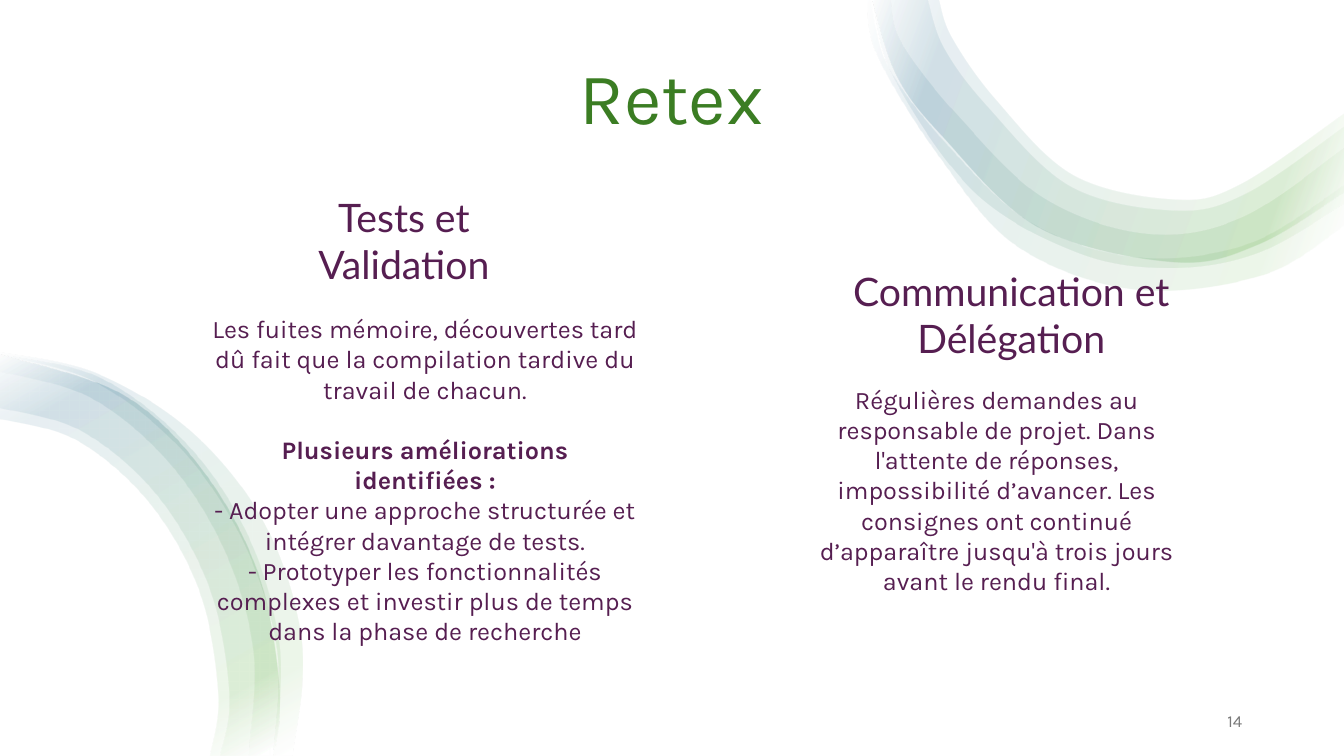
"""Build the Retex slide: a title, two lessons learned and two sets of flowing ribbons."""
from lxml import etree
from pptx import Presentation
from pptx.dml.color import RGBColor
from pptx.enum.text import MSO_ANCHOR, PP_ALIGN
from pptx.oxml import parse_xml
from pptx.oxml.ns import nsdecls, qn
from pptx.util import Inches, Pt

CENTER, RIGHT = PP_ALIGN.CENTER, PP_ALIGN.RIGHT
TOP, MIDDLE, BOTTOM = MSO_ANCHOR.TOP, MSO_ANCHOR.MIDDLE, MSO_ANCHOR.BOTTOM
GREEN, PURPLE, GRAY, WHITE = "3B7D23", "561E51", "797979", "FFFFFF"
RIBBON_STOPS = [(2, WHITE), (16, "4EA72E"), (85, "156082"), (100, WHITE)]
RIBBON_ALPHA = 10


def round_edges(path_element, edge_sizes):
    """Turn the straight segments of each edge into smooth cubic curves."""
    points = [(int(point.get("x")), int(point.get("y")))
              for point in path_element.iter(qn("a:pt"))]
    segments = path_element.findall(qn("a:lnTo"))
    start = 0
    for size in edge_sizes:
        edge = points[start:start + size]
        padded = [edge[0], *edge, edge[-1]]
        for index, (a, b, c, d) in enumerate(zip(padded, padded[1:], padded[2:], padded[3:])):
            curve = etree.Element(qn("a:cubicBezTo"))
            first = [q + (r - p) / 6 for p, q, r in zip(a, b, c)]
            second = [r - (s - q) / 6 for q, r, s in zip(b, c, d)]
            for x, y in (first, second, c):
                etree.SubElement(curve, qn("a:pt"), x=str(round(x)), y=str(round(y)))
            path_element.replace(segments[start + index], curve)
        start += size


def write_text(shape, *texts, size=18, font="Karla", color=PURPLE, align=CENTER,
               anchor=TOP, line_spacing=None, bold_index=None):
    """Fill a shape with paragraphs; the bold one opens a new block."""
    frame = shape.text_frame
    frame.word_wrap = True
    frame.vertical_anchor = anchor
    for index, text in enumerate(texts):
        paragraph = frame.add_paragraph() if index else frame.paragraphs[0]
        paragraph.alignment = align
        paragraph.line_spacing = line_spacing
        paragraph.space_before = Pt(21.6 if index and index == bold_index else 0)
        run = paragraph.add_run()
        run.text = text
        run.font.name = font
        run.font.size = Pt(size)
        run.font.bold = index == bold_index
        run.font.color.rgb = RGBColor.from_string(color)


presentation = Presentation()
presentation.slide_width, presentation.slide_height = Inches(13.33), Inches(7.5)
slide = presentation.slides.add_slide(presentation.slide_layouts[5])
slide.background.fill.solid()
slide.background.fill.fore_color.rgb = RGBColor.from_string(WHITE)

title = slide.shapes.title
title.left, title.top = Inches(0.82), Inches(0.48)
title.width, title.height = Inches(11.68), Inches(0.96)
write_text(title, "Retex", size=52, color=GREEN, anchor=BOTTOM, line_spacing=0.9)

top_outer = [(8.65, 0), (8.89, 0.75), (9.34, 1.35), (10.3, 2.26), (11.64, 2.6),
             (12.48, 2.42), (13.33, 1.9)]
bottom_outer = [(0, 3.52), (1.22, 3.92), (2.03, 4.7), (2.57, 5.73), (2.77, 6.89),
                (2.7, 7.5)]
top_ribbons = [
    ([(8.6, 0), (8.71, 0.56), (9.31, 1.54), (10.09, 2.44), (11.27, 2.87),
      (12.53, 2.72), (13.33, 2.23)],
     [(13.33, 1.83), (12.39, 2.41), (11.3, 2.55), (10.25, 2.22), (9.43, 1.47),
      (8.82, 0.67), (8.64, 0)]),
    ([(8.65, 0), (8.86, 0.77), (9.66, 1.9), (10.69, 2.5), (11.6, 2.65),
      (12.47, 2.5), (13.33, 2.01)],
     [(13.33, 1.46), (12.31, 2.15), (11.37, 2.31), (10.35, 1.96), (9.51, 1.16),
      (8.94, 0.43), (8.83, 0)]),
    (top_outer,
     [(13.33, 1.25), (12.35, 1.92), (11.64, 2.09), (10.61, 1.85), (9.79, 1.06),
      (9.36, 0.48), (9.2, 0)]),
    (top_outer,
     [(13.33, 1.12), (12.29, 1.83), (11.64, 1.98), (10.64, 1.74), (9.88, 1),
      (9.44, 0.38), (9.31, 0)]),
]
bottom_ribbons = [
    (bottom_outer,
     [(2.08, 7.5), (2.16, 6.89), (1.98, 5.88), (1.48, 4.99), (0.76, 4.37), (0, 4.16)]),
    (bottom_outer,
     [(2.18, 7.5), (2.27, 6.89), (2.08, 5.85), (1.56, 4.92), (0.81, 4.28), (0, 4.05)]),
    ([(0, 3.52), (0.99, 3.75), (1.86, 4.42), (2.47, 5.35), (2.77, 6.45), (2.72, 7.5)],
     [(2.46, 7.5), (2.51, 6.48), (2.23, 5.48), (1.68, 4.6), (0.9, 3.95), (0, 3.69)]),
    ([(0, 3.5), (0.96, 3.71), (1.93, 4.32), (2.65, 5.26), (2.99, 6.42), (2.89, 7.5)],
     [(2.7, 7.5), (2.74, 6.45), (2.41, 5.39), (1.8, 4.47), (0.93, 3.79), (0, 3.53)]),
]

for ribbons, angle in ((top_ribbons, 200), (bottom_ribbons, 240)):
    for outer, inner in ribbons:
        outline = [(Inches(x), Inches(y)) for x, y in outer + inner]
        builder = slide.shapes.build_freeform(*outline[0])
        builder.add_line_segments(outline[1:], close=True)
        ribbon = builder.convert_to_shape()
        ribbon.shadow.inherit = False
        ribbon.line.fill.background()
        properties = ribbon.element.spPr
        geometry = properties.find(qn("a:custGeom"))
        round_edges(next(geometry.iter(qn("a:path"))), (len(outer), len(inner)))
        gradient = parse_xml(f'<a:gradFill {nsdecls("a")} rotWithShape="1"><a:gsLst/>'
                             f'<a:lin ang="{angle * 60000}" scaled="0"/></a:gradFill>')
        for position, color in RIBBON_STOPS:
            stop = etree.SubElement(gradient[0], qn("a:gs"), pos=str(position * 1000))
            stop_color = etree.SubElement(stop, qn("a:srgbClr"), val=color)
            etree.SubElement(stop_color, qn("a:alpha"), val=str(RIBBON_ALPHA * 1000))
        geometry.addnext(gradient)

heading = {"size": 28, "font": "Lato"}
text_blocks = [
    ((1.99, 3.06, 4.45, 3.13), [
        "Les fuites mémoire, découvertes tard dû fait que la compilation tardive du travail de chacun.",
        "Plusieurs améliorations identifiées :",
        "- Adopter une approche structurée et intégrer davantage de tests.",
        "- Prototyper les fonctionnalités complexes et investir plus de temps dans la phase de recherche",
    ], {"bold_index": 1}),
    ((2.58, 1.87, 2.85, 1.04), ["Tests et Validation"], heading),
    ((8.33, 2.6, 3.4, 1.04), ["Communication et Délégation"], heading),
    ((7.93, 3.76, 3.91, 2.22), [
        "Régulières demandes au responsable de projet. Dans l'attente de réponses, impossibilité "
        "d’avancer. Les consignes ont continué d’apparaître jusqu'à trois jours avant le rendu final.",
    ], {}),
    ((9.42, 6.95, 3, 0.4), ["14"],
     {"size": 12, "color": GRAY, "align": RIGHT, "anchor": MIDDLE}),
]
for box, texts, text_format in text_blocks:
    write_text(slide.shapes.add_textbox(*map(Inches, box)), *texts, **text_format)

presentation.save("out.pptx")
